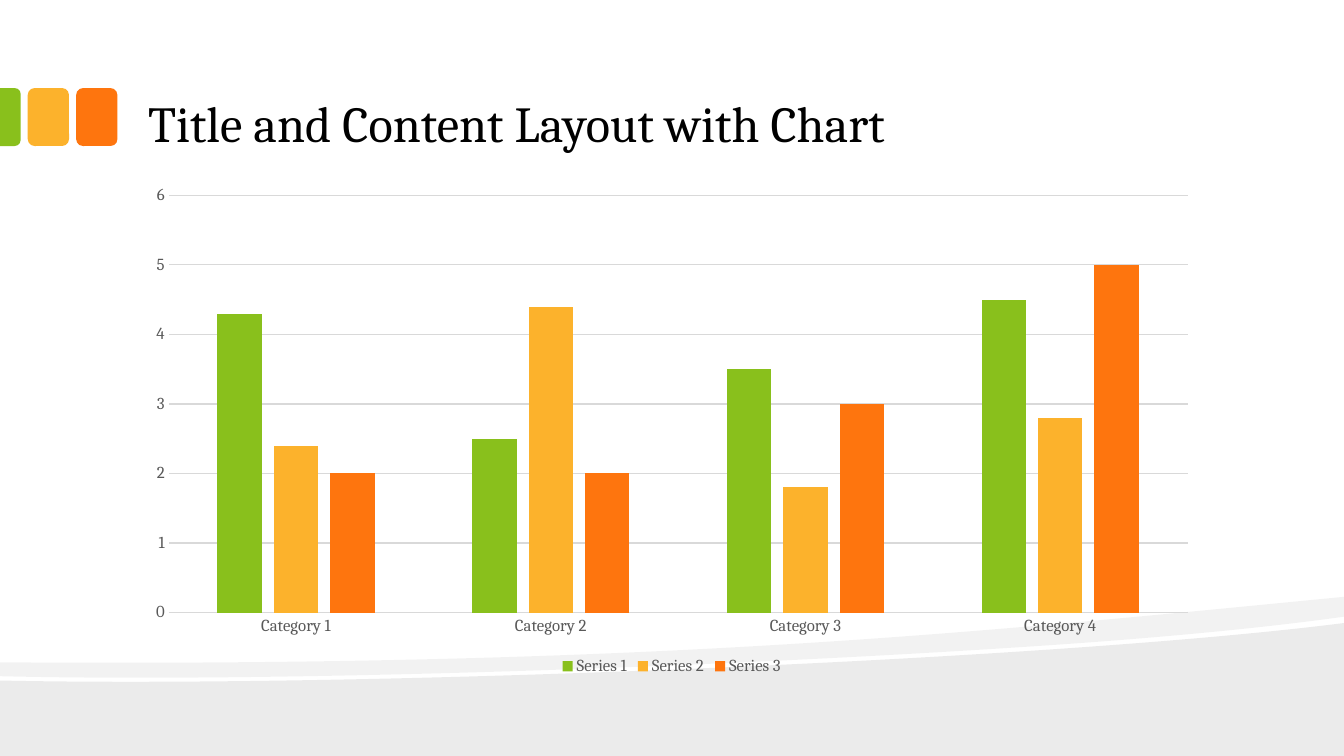
from lxml import etree
from pptx import Presentation
from pptx.chart.data import CategoryChartData
from pptx.dml.color import RGBColor
from pptx.enum.chart import XL_CHART_TYPE, XL_LEGEND_POSITION, XL_TICK_MARK
from pptx.enum.shapes import MSO_SHAPE
from pptx.enum.text import MSO_ANCHOR, MSO_AUTO_SIZE, PP_ALIGN
from pptx.oxml.ns import qn
from pptx.util import Cm, Pt

COLUMNS = XL_CHART_TYPE.COLUMN_CLUSTERED
BOTTOM = XL_LEGEND_POSITION.BOTTOM
NO_TICK = XL_TICK_MARK.NONE
ROUND, ROUND_TOP = MSO_SHAPE.ROUNDED_RECTANGLE, MSO_SHAPE.ROUND_2_SAME_RECTANGLE

THEME = {
    "font": "Cambria", "title": Pt(36), "label": Pt(12),
    "black": RGBColor(0x00, 0x00, 0x00), "text": RGBColor(0x59, 0x59, 0x59),
    "grid": RGBColor(0xD9, 0xD9, 0xD9),
    "green": RGBColor(0x89, 0xC0, 0x1C), "yellow": RGBColor(0xFC, 0xB2, 0x2C),
    "orange": RGBColor(0xFE, 0x75, 0x0E),
    "wave alpha": 8, "band alpha": 5,
}
W, H = 33.87, 19.05
LEFT, WIDTH = Cm(3.39), Cm(27.08)


def paint(sp, color):
    sp.shadow.inherit = False
    sp.fill.solid()
    sp.fill.fore_color.rgb = THEME[color]
    sp.line.fill.background()


def curved_shape(shapes, outline, curve_starts):
    """Freeform in cm; each listed point opens a cubic curve of three points."""
    pts = [(Cm(x), Cm(y)) for x, y in outline]
    fb = shapes.build_freeform(*pts[0])
    fb.add_line_segments(pts[1:])
    sp = fb.convert_to_shape()
    lines = list(sp._element.iter(qn("a:lnTo")))
    for i in curve_starts:
        first, *others = lines[i - 1:i + 2]
        first.tag = qn("a:cubicBezTo")
        for line in others:
            first.append(line[0])
            line.getparent().remove(line)
    return sp


prs = Presentation()
prs.slide_width, prs.slide_height = Cm(W), Cm(H)
s = prs.slides.add_slide(prs.slide_layouts[5])

# Waves along the bottom
wave = [(0, 17.15), (8.94, 17.34), (26.47, 16.64), (W, 15.7), (W, H), (0, H)]
band = [(0, 16.69), (16.56, 16.81), (24.66, 15.93), (W, 15.04), (W, 15.54),
        (31.88, 15.82), (29.18, 16.08), (26.14, 16.28),
        (17.73, 16.84), (6.55, 17.2), (0, 17.04)]
for outline, curve_starts, alpha in ((wave, (1,), "wave alpha"),
                                     (band, (1, 5, 8), "band alpha")):
    sp = curved_shape(s.shapes, outline, curve_starts)
    paint(sp, "black")
    clr = next(sp._element.iter(qn("a:srgbClr")))
    etree.SubElement(clr, qn("a:alpha")).set("val", str(THEME[alpha] * 1000))

# Tabs beside the title; the green one is cut by the slide edge
for shape, color, x, y, w, h, turn in (
        (ROUND, "orange", 1.92, 2.22, 1.04, 1.46, 0),
        (ROUND, "yellow", 0.7, 2.22, 1.04, 1.46, 0),
        (ROUND_TOP, "green", -0.47, 2.69, 1.46, 0.52, 90)):
    sp = s.shapes.add_shape(shape, Cm(x), Cm(y), Cm(w), Cm(h))
    sp.rotation = turn
    if shape == ROUND_TOP:
        sp.adjustments[0] = 0.29
    paint(sp, color)

# Title
title = s.shapes.title
title.left, title.top, title.width, title.height = LEFT, Cm(0.42), WIDTH, Cm(3.6)
tf = title.text_frame
tf.text = "Title and Content Layout with Chart"
for name, value in {"vertical_anchor": MSO_ANCHOR.BOTTOM, "auto_size": MSO_AUTO_SIZE.NONE,
                    "word_wrap": True, "margin_left": Cm(0.34), "margin_right": Cm(0.34),
                    "margin_top": Cm(0.17), "margin_bottom": Cm(0.17)}.items():
    setattr(tf, name, value)
p = tf.paragraphs[0]
p.alignment = PP_ALIGN.LEFT
for name, value in {"name": THEME["font"], "size": THEME["title"]}.items():
    setattr(p.runs[0].font, name, value)
p.runs[0].font.color.rgb = THEME["black"]

# Chart
data = CategoryChartData()
data.categories = [f"Category {n}" for n in range(1, 5)]
series = (("green", (4.3, 2.5, 3.5, 4.5)),
          ("yellow", (2.4, 4.4, 1.8, 2.8)),
          ("orange", (2, 2, 3, 5)))
for n, (color, values) in enumerate(series, 1):
    data.add_series(f"Series {n}", values)
chart = s.shapes.add_chart(COLUMNS, LEFT, Cm(4.43), WIDTH, Cm(12.7), data).chart
chart.has_title = False
chart.font.name, chart.font.size = THEME["font"], THEME["label"]
chart.font.color.rgb = THEME["text"]
chart.has_legend = True
chart.legend.position = BOTTOM
chart.legend.include_in_layout = False

plot = chart.plots[0]
for name, value in {"gap_width": 219, "overlap": -27, "vary_by_categories": False}.items():
    setattr(plot, name, value)
for ser, (color, values) in zip(plot.series, series):
    ser.format.fill.solid()
    ser.format.fill.fore_color.rgb = THEME[color]

# Axes and grid
cat, val = chart.category_axis, chart.value_axis
for axis in (cat, val):
    axis.major_tick_mark = axis.minor_tick_mark = NO_TICK
val.minimum_scale, val.maximum_scale, val.major_unit = 0, 6, 1
val.format.line.fill.background()
for line in (cat.format.line, val.major_gridlines.format.line):
    line.color.rgb = THEME["grid"]
    line.width = Pt(0.75)

prs.save("out.pptx")
